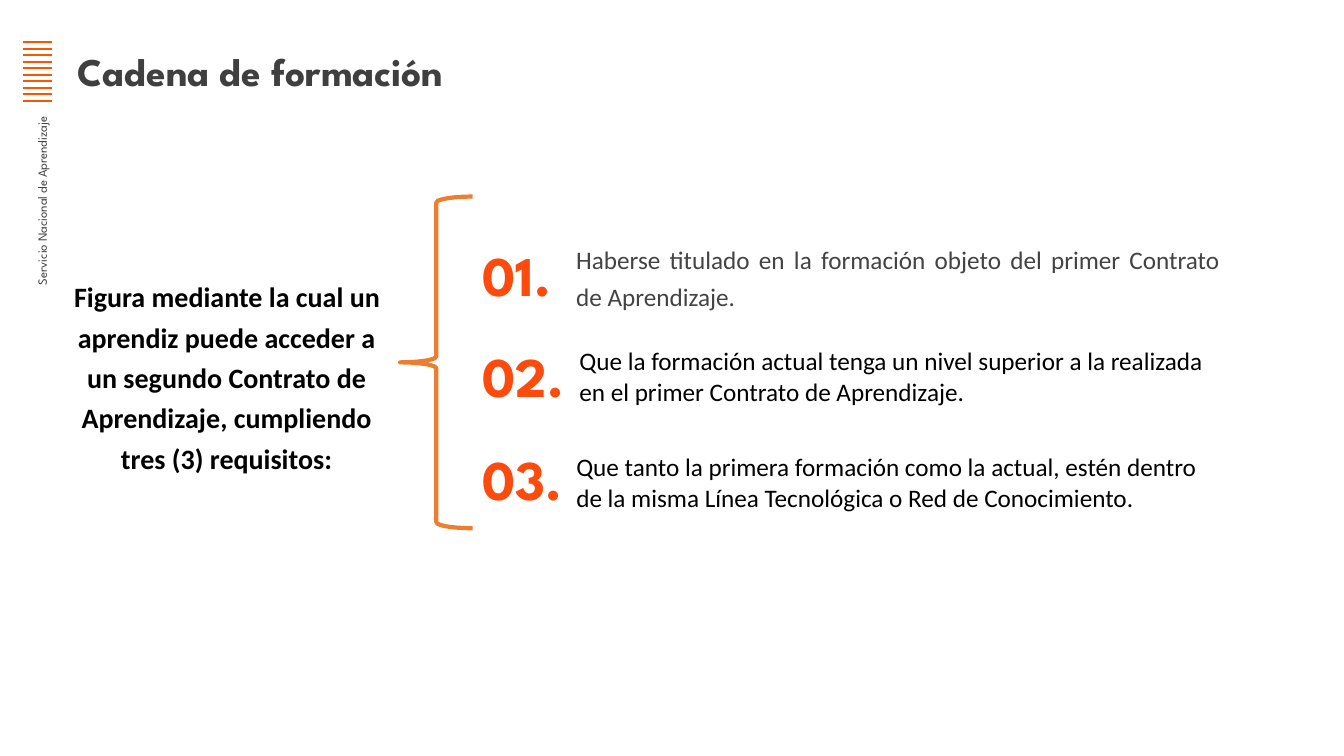
import dataclasses
import typing

import pptx
import pptx.dml.color
import pptx.enum.shapes
import pptx.enum.text
import pptx.oxml
import pptx.oxml.ns
import pptx.slide
import pptx.util

Pt = pptx.util.Pt
RGB = pptx.dml.color.RGBColor.from_string
ALIGN = pptx.enum.text.PP_ALIGN
ANCHOR = pptx.enum.text.MSO_ANCHOR
AUTO = pptx.enum.text.MSO_AUTO_SIZE


@dataclasses.dataclass(frozen=True)
class Theme:
    heading_font: str = "League Spartan"
    body_font: str = "Calibri"
    stripe: str = "F55801"
    number: str = "FC4B0C"
    brace: str = "ED7D31"
    dark: str = "3F3F3F"
    grey: str = "434343"
    black: str = "000000"
    title_size: float = 28
    number_size: float = 40
    lead_size: float = 20
    body_size: float = 18
    side_size: float = 9


THEME = Theme()


@dataclasses.dataclass(frozen=True)
class Label:
    text: str
    box: tuple[float, float, float, float]
    size: float
    color: str
    font: str = THEME.body_font
    bold: bool = False
    align: typing.Any = ALIGN.LEFT
    anchor: typing.Any = ANCHOR.TOP
    inset: tuple[float, float] = (7.2, 3.6)
    spacing: float = 1.0
    margin: float = 0
    indent: float = 0
    rotation: float = 0
    grow: bool = True


@dataclasses.dataclass(frozen=True)
class Requirement:
    text: str
    number_top: float
    box: tuple[float, float, float, float]
    format: dict[str, typing.Any]


def set_all(target: typing.Any, values: dict[str, typing.Any]) -> None:
    for name, value in values.items():
        setattr(target, name, value)


def add_label(s: pptx.slide.Slide, label: Label) -> None:
    sp = s.shapes.add_textbox(*map(Pt, label.box))
    sp.rotation = label.rotation
    tf = sp.text_frame
    side, edge = map(Pt, label.inset)
    set_all(tf, {
        "word_wrap": True,
        "auto_size": AUTO.SHAPE_TO_FIT_TEXT if label.grow else AUTO.NONE,
        "vertical_anchor": label.anchor,
        "margin_left": side, "margin_right": side,
        "margin_top": edge, "margin_bottom": edge,
    })
    p = tf.paragraphs[0]
    set_all(p, {"alignment": label.align, "line_spacing": label.spacing})
    if label.margin:
        pPr = p._p.get_or_add_pPr()
        pPr.set("marL", str(Pt(label.margin)))
        pPr.set("indent", str(Pt(label.indent)))
    r = p.add_run()
    r.text = label.text
    set_all(r.font, {"name": label.font, "size": Pt(label.size), "bold": label.bold})
    r.font.color.rgb = RGB(label.color)


def add_stripes(s: pptx.slide.Slide, left: float, right: float,
                top: float, bottom: float, count: int) -> None:
    step = (bottom - top) / (count - 1)
    for i in range(count):
        y = Pt(top + i * step)
        line = s.shapes.add_connector(
            pptx.enum.shapes.MSO_CONNECTOR.STRAIGHT, Pt(left), y, Pt(right), y)
        line.line.color.rgb = RGB(THEME.stripe)
        line.line.width = Pt(1.5)
        line._element.spPr.append(
            pptx.oxml.parse_xml(f"<a:effectLst {pptx.oxml.ns.nsdecls('a')}/>"))


def add_brace(s: pptx.slide.Slide, box: tuple[float, float, float, float]) -> None:
    sp = s.shapes.add_shape(pptx.enum.shapes.MSO_SHAPE.LEFT_BRACE, *map(Pt, box))
    sp.shadow.inherit = False
    sp.fill.background()
    sp.line.color.rgb = RGB(THEME.brace)
    sp.line.width = Pt(3)


REQUIREMENTS = [
    Requirement(
        "Haberse titulado en la formación objeto del primer Contrato de Aprendizaje. ",
        168.5, (402.5, 167, 476, 57.6),
        {"color": THEME.grey, "align": ALIGN.JUSTIFY, "spacing": 1.2, "margin": 2}),
    Requirement(
        "Que la formación actual tenga un nivel superior a la realizada "
        "en el primer Contrato de Aprendizaje.",
        240.5, (406.8, 243.4, 479.5, 51), {"color": THEME.black}),
    Requirement(
        "Que tanto la primera formación como la actual, estén dentro "
        "de la misma Línea Tecnológica o Red de Conocimiento.",
        313.9, (404.6, 319, 479.5, 51), {"color": THEME.black}),
]

LABELS = [
    Label("Servicio Nacional de Aprendizaje", (-48.2, 145.4, 156.2, 18),
          THEME.side_size, THEME.dark, THEME.heading_font,
          align=ALIGN.RIGHT, rotation=270),
    Label("Cadena de formación", (46, 18, 476, 65.5),
          THEME.title_size, THEME.dark, THEME.heading_font, bold=True,
          anchor=ANCHOR.MIDDLE, inset=(9.4, 5), grow=False),
    Label("Figura mediante la cual un aprendiz puede acceder a un segundo "
          "Contrato de Aprendizaje, cumpliendo tres (3) requisitos:",
          (41, 191.5, 239.8, 150.5), THEME.lead_size, THEME.black, bold=True,
          align=ALIGN.CENTER, spacing=1.2, margin=2, indent=0.7),
]


def main() -> None:
    prs = pptx.Presentation()
    prs.slide_width, prs.slide_height = Pt(960), Pt(540)
    s = prs.slides.add_slide(prs.slide_layouts[6])

    # Stripe mark, side caption, title and lead text
    add_stripes(s, left=16.5, right=37.5, top=30.2, bottom=72, count=10)
    for label in LABELS:
        add_label(s, label)

    # Brace and numbered requirements
    add_brace(s, (285.8, 140.4, 51.8, 236.9))
    for number, item in enumerate(REQUIREMENTS, start=1):
        add_label(s, Label(f"{number:02}.", (337.7, item.number_top, 77.8, 46),
                           THEME.number_size, THEME.number, THEME.heading_font,
                           bold=True, grow=False))
        add_label(s, Label(item.text, item.box, THEME.body_size, **item.format))

    prs.save("out.pptx")


if __name__ == "__main__":
    main()
